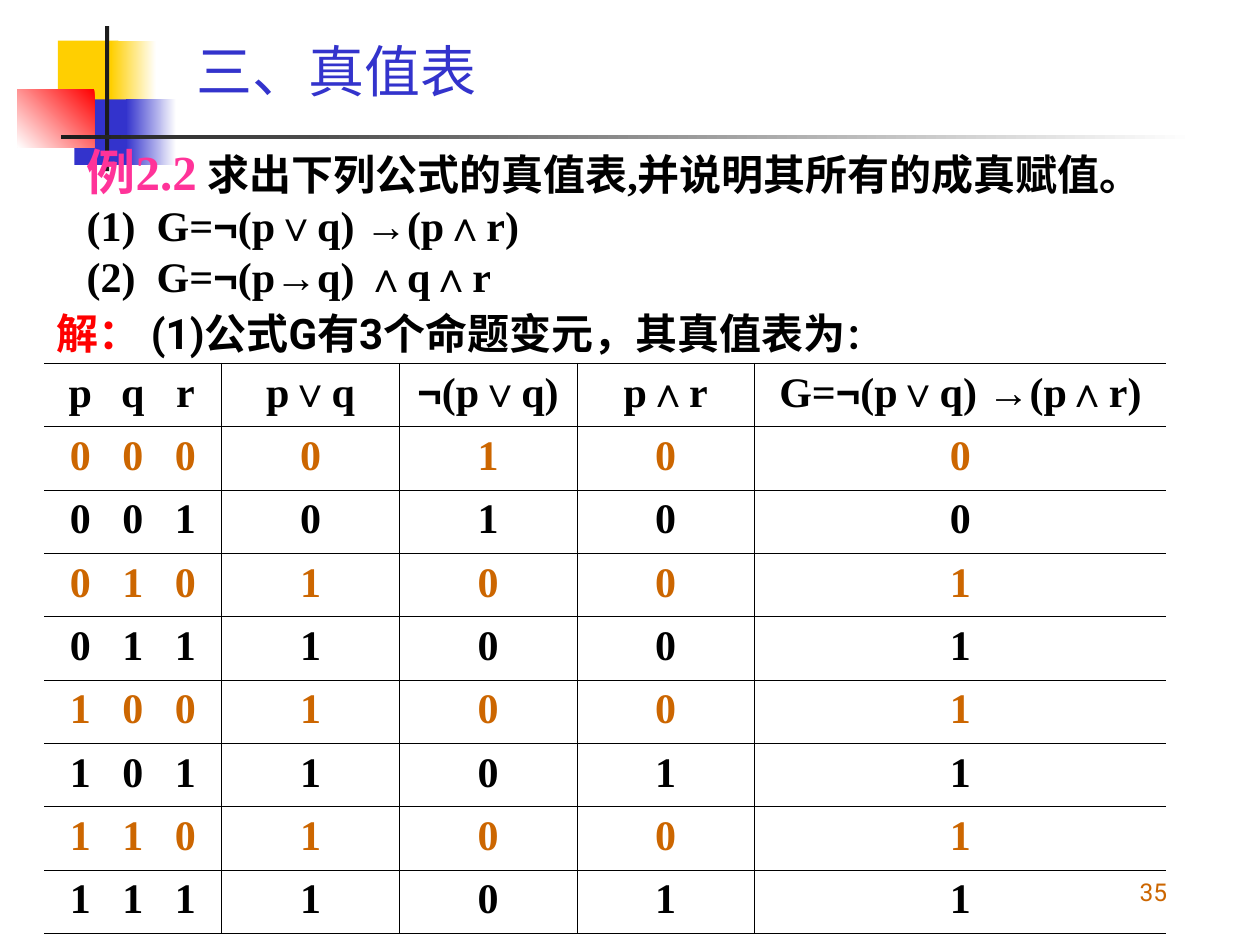
import itertools
import pptx
import pptx.util
import pptx.dml.color
import pptx.enum.shapes
import pptx.enum.text
import pptx.oxml
import pptx.oxml.ns
from lxml import etree

Pt = pptx.util.Pt
RGB = pptx.dml.color.RGBColor.from_string
ALIGN = pptx.enum.text.PP_ALIGN
ANCHOR = pptx.enum.text.MSO_ANCHOR
qn = pptx.oxml.ns.qn

HUES = {"gold": "FFCF01", "blue": "3333CC", "red": "FF0000", "dark": "1C1C1C",
        "white": "FFFFFF", "black": "000000", "pink": "FF3399", "rust": "CC6600"}
SERIF, SANS, SIGN = "Times New Roman", "Roboto", "Arial"
SIGNS = "¬∨∧→"


def write(par, text, size, face, hue, bold=True):
    for sign, part in itertools.groupby(text, lambda c: c in SIGNS):
        run = par.add_run()
        run.text = "".join(part)
        run.font.size = Pt(size)
        run.font.bold = bold
        run.font.color.rgb = RGB(HUES[hue])
        run.font.name = SIGN if sign else face
        east = etree.SubElement(run.font._element, qn("a:ea"))
        east.set("typeface", SANS)


def add_tabs(par, stops, kind):
    props = par._p.get_or_add_pPr()
    tabs = etree.SubElement(props, qn("a:tabLst"))
    for stop in stops:
        etree.SubElement(tabs, qn("a:tab"), pos=str(Pt(stop)), algn=kind)


deck = pptx.Presentation()
deck.slide_width, deck.slide_height = Pt(720), Pt(540)
slide = deck.slides.add_slide(deck.slide_layouts[6])

blocks = [
    (33.1, 23.2, 34.6, 37.4, ["gold"], 0),
    (63.4, 23.2, 25.9, 37.4, ["white", "gold"], 180),
    (42.5, 56.8, 33.1, 37.4, ["blue"], 0),
    (72, 56.8, 28.8, 37.4, ["white", "blue"], 180),
    (10, 51, 44, 33.2, ["red", "white"], 225),
    (60, 15, 2.4, 82.8, ["dark"], 0),
    (34.8, 77, 648, 2.3, ["white", "dark"], 180),
]
for x, y, w, h, hues, angle in blocks:
    block = slide.shapes.add_shape(
        pptx.enum.shapes.MSO_SHAPE.RECTANGLE, Pt(x), Pt(y), Pt(w), Pt(h))
    block.shadow.inherit = False
    block.line.fill.background()
    if len(hues) == 1:
        block.fill.solid()
        block.fill.fore_color.rgb = RGB(HUES[hues[0]])
    else:
        block.fill.gradient()
        block.fill.gradient_angle = angle
        for stop, hue in zip(block.fill.gradient_stops, hues):
            stop.color.rgb = RGB(HUES[hue])

heads = ["\tp\tq\tr", "p∨q", "¬(p∨q)", "p∧r", "G=¬(p∨q) →(p∧r)"]
rows = [heads]
for p, q, r in itertools.product((0, 1), repeat=3):
    both = p & r
    nor = 1 - (p | q)
    rows.append([f"\t{p}\t{q}\t{r}", str(p | q), str(nor), str(both),
                 str((1 - nor) | both)])

widths = [101.5] * 4 + [235.4]
high = 36.2
table = slide.shapes.add_table(len(rows), len(widths), Pt(25.2), Pt(207.6),
                               Pt(sum(widths)), Pt(high * len(rows))).table
table.first_row = table.horz_banding = False
for col, width in zip(table.columns, widths):
    col.width = Pt(width)
for i, row in enumerate(rows):
    table.rows[i].height = Pt(high)
    hue = "rust" if i % 2 else "black"
    for j, text in enumerate(row):
        cell = table.cell(i, j)
        par = cell.text_frame.paragraphs[0]
        if j:
            par.alignment = ALIGN.CENTER
        else:
            add_tabs(par, (13.5, 43.5, 73.5), "ctr")
        write(par, text, 24, SERIF, hue)
        props = cell._tc.get_or_add_tcPr()
        for side in "LRTB":
            line = etree.SubElement(props, qn("a:ln" + side), w=str(Pt(0.45)))
            if (side, j) in (("L", 0), ("R", len(widths) - 1)):
                etree.SubElement(line, qn("a:noFill"))
            else:
                fill = etree.SubElement(line, qn("a:solidFill"))
                etree.SubElement(fill, qn("a:srgbClr"), val=HUES["black"])
        cell.fill.background()

boxes = [
    (42.5, 77, 674.6, 98.6, ANCHOR.MIDDLE, ALIGN.LEFT, [
        [("例2.2", 28, SERIF, "pink", True),
         (" 求出下列公式的真值表,并说明其所有的成真赋值。", 24, SERIF, "black", True)],
        [("(1)\tG=¬(p∨q) →(p∧r)", 24, SERIF, "black", True)],
        [("(2)\tG=¬(p→q) ∧q∧r", 24, SERIF, "black", True)]]),
    (25.2, 172, 550, 36, ANCHOR.MIDDLE, ALIGN.LEFT, [
        [("解： ", 24, SANS, "red", True),
         ("(1)公式G有3个命题变元，其真值表为", 24, SANS, "black", True),
         ("：", 20, SANS, "black", True)]]),
    (105.1, 15.1, 578.9, 49.7, ANCHOR.MIDDLE, ALIGN.LEFT, [
        [("三、真值表", 32, SANS, "blue", False)]]),
    (524.2, 485.3, 149.8, 36, ANCHOR.BOTTOM, ALIGN.RIGHT, [
        [("35", 14, SANS, "rust", False)]]),
]
for x, y, w, h, anchor, align, lines in boxes:
    frame = slide.shapes.add_textbox(Pt(x), Pt(y), Pt(w), Pt(h)).text_frame
    frame.word_wrap = True
    frame.vertical_anchor = anchor
    for i, line in enumerate(lines):
        par = frame.add_paragraph() if i else frame.paragraphs[0]
        par.alignment = align
        if "\t" in line[0][0]:
            add_tabs(par, [40], "l")
        for part in line:
            write(par, *part)

deck.save("out.pptx")
